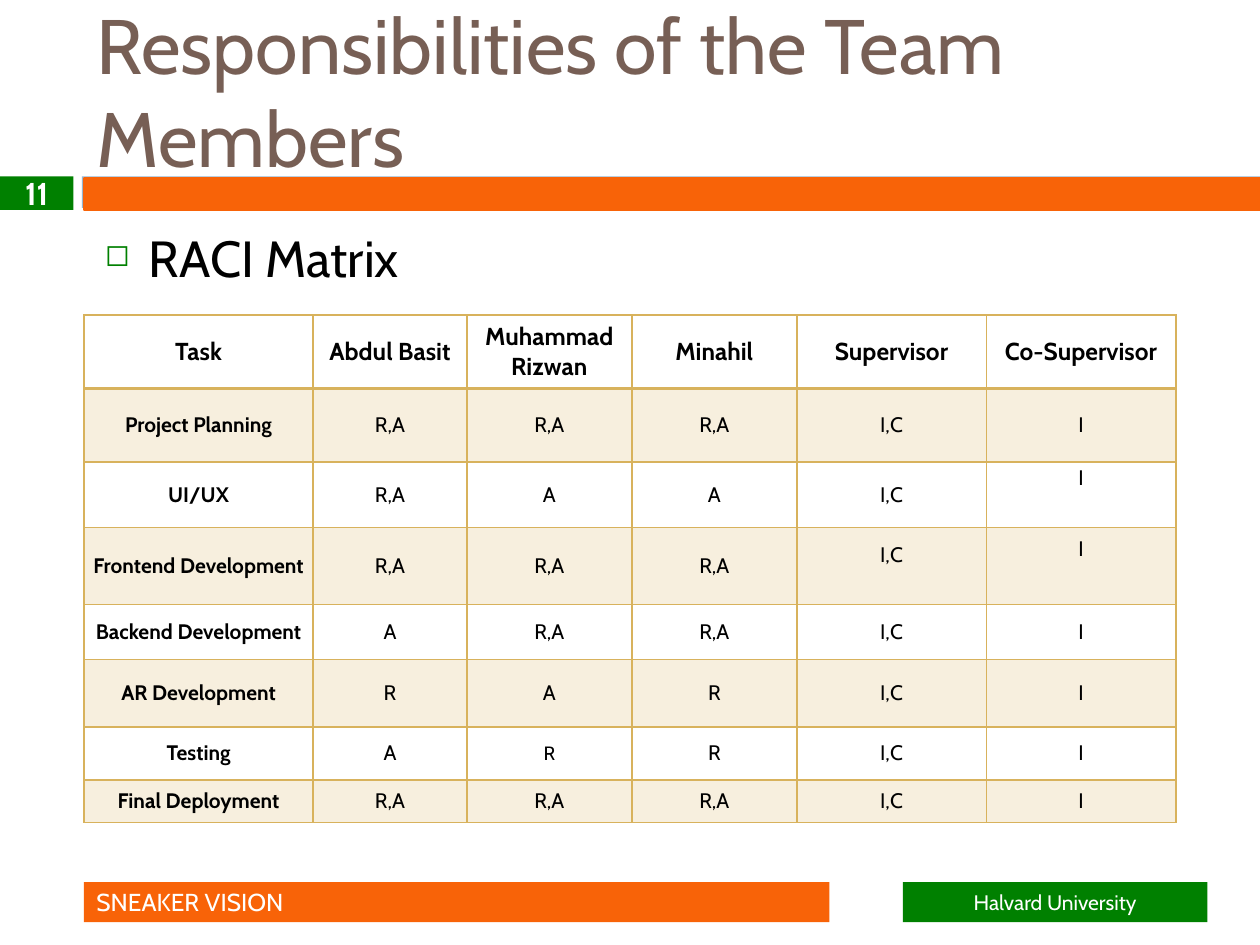
from lxml.etree import SubElement
from pptx import Presentation
from pptx.dml.color import RGBColor
from pptx.enum.shapes import MSO_SHAPE
from pptx.enum.text import MSO_ANCHOR, PP_ALIGN
from pptx.oxml.ns import qn
from pptx.util import Pt

FONT = "Cabin"
ORANGE = RGBColor(0xF8, 0x63, 0x08)
GREEN = RGBColor(0x00, 0x80, 0x00)
BLUE = RGBColor(0x94, 0xB6, 0xD2)
BROWN = RGBColor(0x77, 0x5F, 0x55)
GOLD = RGBColor(0xD8, 0xB2, 0x5C)
BLACK = RGBColor(0x00, 0x00, 0x00)
WHITE = RGBColor(0xFF, 0xFF, 0xFF)


def write(text_frame, text, size, color, bold=False, align=PP_ALIGN.LEFT):
    text_frame.text = text
    text_frame.word_wrap = True
    paragraph = text_frame.paragraphs[0]
    paragraph.alignment = align
    font = paragraph.runs[0].font
    font.name, font.size, font.bold = FONT, Pt(size), bold
    font.color.rgb = color
    return paragraph


def add_bar(left, top, width, height, color):
    shape = slide.shapes.add_shape(
        MSO_SHAPE.RECTANGLE, Pt(left), Pt(top), Pt(width), Pt(height))
    shape.shadow.inherit = False
    shape.fill.solid()
    shape.fill.fore_color.rgb = color
    shape.line.fill.background()
    shape.text_frame.vertical_anchor = MSO_ANCHOR.MIDDLE
    return shape


presentation = Presentation()
presentation.slide_width, presentation.slide_height = Pt(720), Pt(540)
slide = presentation.slides.add_slide(presentation.slide_layouts[6])

# Divider under the title
add_bar(46.8, 100.8, 673.2, 18, BLUE)
divider = add_bar(48, 102, 672, 18, ORANGE)
divider.line.color.rgb = ORANGE
divider.line.width = Pt(1.5)

# Title
title = slide.shapes.add_textbox(Pt(48), Pt(0), Pt(600), Pt(103)).text_frame
title.vertical_anchor = MSO_ANCHOR.MIDDLE
write(title, "Responsibilities of the Team Members", 44.1, BROWN)

# Footer and slide number
university = add_bar(516, 504, 174, 23, GREEN)
write(university.text_frame, "Halvard University", 12, WHITE, align=PP_ALIGN.CENTER)
project = add_bar(48, 504, 426, 23, ORANGE)
write(project.text_frame, "SNEAKER VISION", 14, WHITE)
number = add_bar(0, 100.8, 42, 19.2, GREEN)
write(number.text_frame, "11", 18, WHITE, True, PP_ALIGN.CENTER)

# Bulleted heading
body = slide.shapes.add_textbox(Pt(52.8), Pt(126), Pt(642), Pt(354)).text_frame
heading = write(body, "RACI Matrix", 29, BLACK)
heading.space_before = Pt(7)
properties = heading._p.get_or_add_pPr()
properties.set("marL", str(Pt(25.2)))
properties.set("indent", str(Pt(-25.2)))
bullet_color = SubElement(properties, qn("a:buClr"))
SubElement(bullet_color, qn("a:srgbClr"), val=str(GREEN))
SubElement(properties, qn("a:buSzPct"), val="60000")
SubElement(properties, qn("a:buChar"), char="◻")

# RACI table
ROWS = [
    ["Task", "Abdul Basit", "Muhammad Rizwan", "Minahil", "Supervisor", "Co-Supervisor"],
    ["Project Planning", "R,A", "R,A", "R,A", "I,C", "I"],
    ["UI/UX", "R,A", "A", "A", "I,C", "I"],
    ["Frontend Development", "R,A", "R,A", "R,A", "I,C", "I"],
    ["Backend Development", "A", "R,A", "R,A", "I,C", "I"],
    ["AR Development", "R", "A", "R", "I,C", "I"],
    ["Testing", "A", "R", "R", "I,C", "I"],
    ["Final Deployment", "R,A", "R,A", "R,A", "I,C", "I"],
]
COLUMN_WIDTHS = [131, 87.8, 94.3, 94.3, 108.3, 108.3]
ROW_HEIGHTS = [41.8, 42.3, 37.5, 43.9, 31.5, 38.5, 30.2, 24.5]
RAISED = {(2, 5): 20, (3, 4): 13, (3, 5): 20}  # bottom margins
SMALLER = (6, 2)

table = slide.shapes.add_table(
    len(ROWS), len(COLUMN_WIDTHS), Pt(48), Pt(180),
    Pt(sum(COLUMN_WIDTHS)), Pt(sum(ROW_HEIGHTS))).table
table.first_row = table.horz_banding = False
for column, width in zip(table.columns, COLUMN_WIDTHS):
    column.width = Pt(width)
for row, height in zip(table.rows, ROW_HEIGHTS):
    row.height = Pt(height)

for r, texts in enumerate(ROWS):
    for c, text in enumerate(texts):
        cell = table.cell(r, c)
        cell.vertical_anchor = MSO_ANCHOR.MIDDLE
        cell.margin_left = cell.margin_right = Pt(5)
        cell.margin_top = Pt(0)
        cell.margin_bottom = Pt(RAISED.get((r, c), 0))
        size = 14 if r == 0 else 11 if (r, c) == SMALLER else 12
        write(cell.text_frame, text, size, BLACK, r == 0 or c == 0, PP_ALIGN.CENTER)

        # Borders, thicker around the header's lower edge
        cell_properties = cell._tc.get_or_add_tcPr()
        for side in "LRTB":
            thick = (r, side) in ((0, "B"), (1, "T"))
            line = SubElement(cell_properties, qn(f"a:ln{side}"), w=str(Pt(2 if thick else 1)))
            line_fill = SubElement(line, qn("a:solidFill"))
            SubElement(line_fill, qn("a:srgbClr"), val=str(GOLD))

        # Every second row is tinted
        if r % 2:
            cell.fill.solid()
            cell.fill.fore_color.rgb = GOLD
            color = cell_properties.find(qn("a:solidFill")).find(qn("a:srgbClr"))
            SubElement(color, qn("a:alpha"), val="20000")
        else:
            cell.fill.background()

presentation.save("out.pptx")
